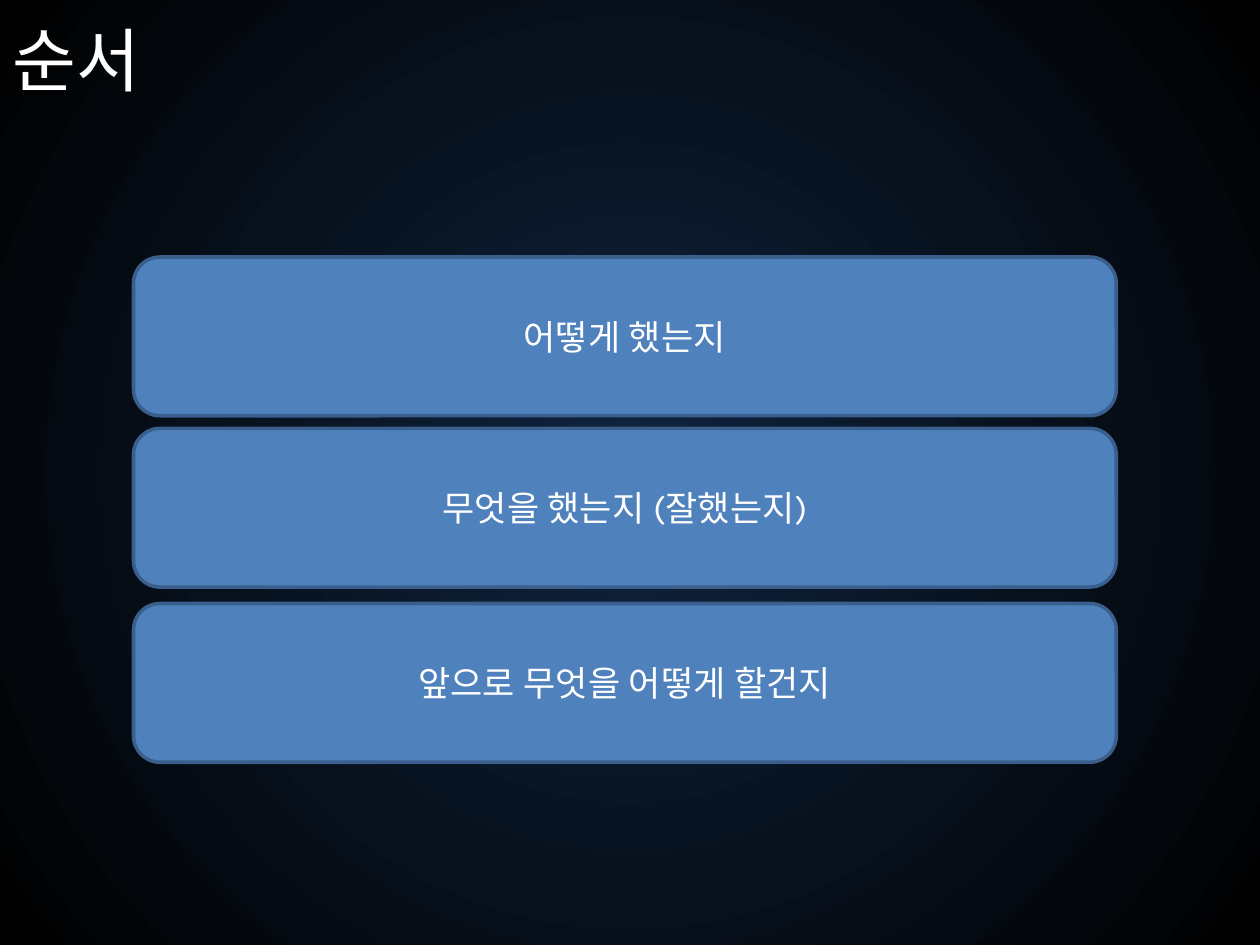
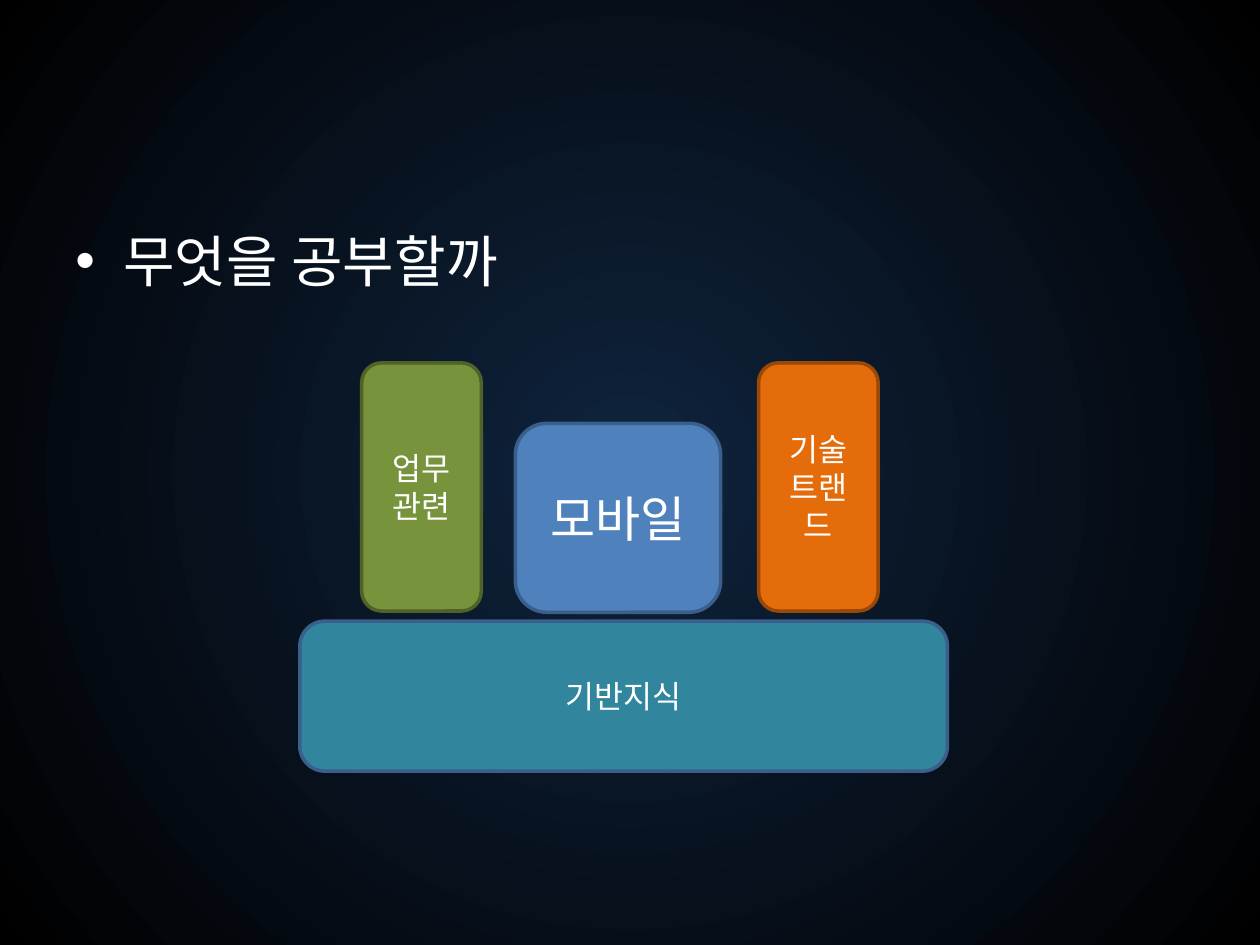
from pptx import Presentation
from pptx.dml.color import RGBColor
from pptx.enum.shapes import MSO_SHAPE as SHAPE
from pptx.enum.text import MSO_ANCHOR as ANCHOR, PP_ALIGN as ALIGN
from pptx.oxml import parse_xml
from pptx.oxml.ns import nsdecls, qn
from pptx.util import Inches, Pt

FONT = "Karla"
WHITE, NAVY, BLACK = "FFFFFF", "0F243E", "000000"
BLUE, BLUE_EDGE, TEAL = "4F81BD", "3A5F8C", "31859C"
GREEN, GREEN_EDGE = "77933C", "4F6228"
ORANGE, ORANGE_EDGE = "E46C0A", "984807"


def rgb(value):
    return RGBColor.from_string(value)


def add_run(p, text, size):
    r = p.add_run()
    r.text = text
    r.font.name = FONT
    r.font.size = Pt(size)
    r.font.color.rgb = rgb(WHITE)
    # Hangul takes its face from the East Asian font
    latin = r.font._element.find(qn("a:latin"))
    latin.addnext(parse_xml(f'<a:ea {nsdecls("a")} typeface="{FONT}"/>'))


def add_dark_slide(prs):
    slide = prs.slides.add_slide(prs.slide_layouts[6])
    # Glow from the centre to black corners
    fill = slide.background.fill
    fill.gradient()
    for stop, color, position in zip(fill.gradient_stops, (NAVY, BLACK), (0, 1)):
        stop.color.rgb = rgb(color)
        stop.position = position
    lin = next(slide._element.iter(qn("a:lin")))
    lin.getparent().replace(lin, parse_xml(
        f'<a:path {nsdecls("a")} path="circle">'
        '<a:fillToRect l="50000" t="50000" r="50000" b="50000"/></a:path>'))
    return slide


def add_text(slide, box, text, size, anchor):
    tf = slide.shapes.add_textbox(*map(Inches, box)).text_frame
    tf.word_wrap = True
    tf.vertical_anchor = anchor
    p = tf.paragraphs[0]
    add_run(p, text, size)
    return p


def add_block(slide, box, text, size, fill=BLUE, edge=BLUE_EDGE):
    sp = slide.shapes.add_shape(SHAPE.ROUNDED_RECTANGLE, *map(Inches, box))
    sp.shadow.inherit = False
    sp.fill.solid()
    sp.fill.fore_color.rgb = rgb(fill)
    sp.line.color.rgb = rgb(edge)
    sp.line.width = Pt(2)
    tf = sp.text_frame
    tf.word_wrap = True
    tf.vertical_anchor = ANCHOR.MIDDLE
    p = tf.paragraphs[0]
    p.alignment = ALIGN.CENTER
    add_run(p, text, size)


def add_bullet(slide, box, text):
    p = add_text(slide, box, text, 32, ANCHOR.TOP)
    pPr = p._p.get_or_add_pPr()
    pPr.set("marL", str(Inches(0.38)))
    pPr.set("indent", str(Inches(-0.38)))
    for xml in ('<a:spcBef {}><a:spcPct val="20000"/></a:spcBef>',
                '<a:buFont {} typeface="Arial"/>',
                '<a:buChar {} char="•"/>'):
        pPr.append(parse_xml(xml.format(nsdecls("a"))))


def add_steps(slide, box, steps):
    left, top, width, height = box
    for offset, text in steps:
        add_block(slide, (left, top + offset, width, height), text, 20)


def add_study_blocks(slide, box):
    left, top, width, height = box
    base_height, pillar_width, pillar_height = 1.19, 0.95, 1.97
    # Centre block and the base below it
    add_block(slide, (left + 1.71, top + 0.48, 1.63, 1.5), "모바일", 28)
    add_block(slide, (left, top + height - base_height, width, base_height),
              "기반지식", 18, TEAL)
    # Pillars on both sides
    for offset, text, fill, edge in ((0.49, "업무관련", GREEN, GREEN_EDGE),
                                     (3.64, "기술트랜드", ORANGE, ORANGE_EDGE)):
        add_block(slide, (left + offset, top, pillar_width, pillar_height),
                  text, 18, fill, edge)


def build_agenda(prs):
    slide = add_dark_slide(prs)
    add_text(slide, (0, 0.09, 10, 0.75), "순서", 39.6, ANCHOR.MIDDLE)
    add_steps(slide, (1.06, 2.04, 7.8, 1.26),
              ((0, "어떻게 했는지"),
               (1.36, "무엇을 했는지 (잘했는지)"),
               (2.75, "앞으로 무엇을 어떻게 할건지")))


def build_study(prs):
    slide = add_dark_slide(prs)
    add_bullet(slide, (0.5, 1.75, 9, 4.95), "무엇을 공부할까")
    add_study_blocks(slide, (2.38, 2.88, 5.14, 3.24))


def main():
    prs = Presentation()
    prs.slide_width, prs.slide_height = Inches(10), Inches(7.5)
    build_agenda(prs)
    build_study(prs)
    prs.save("out.pptx")


if __name__ == "__main__":
    main()
